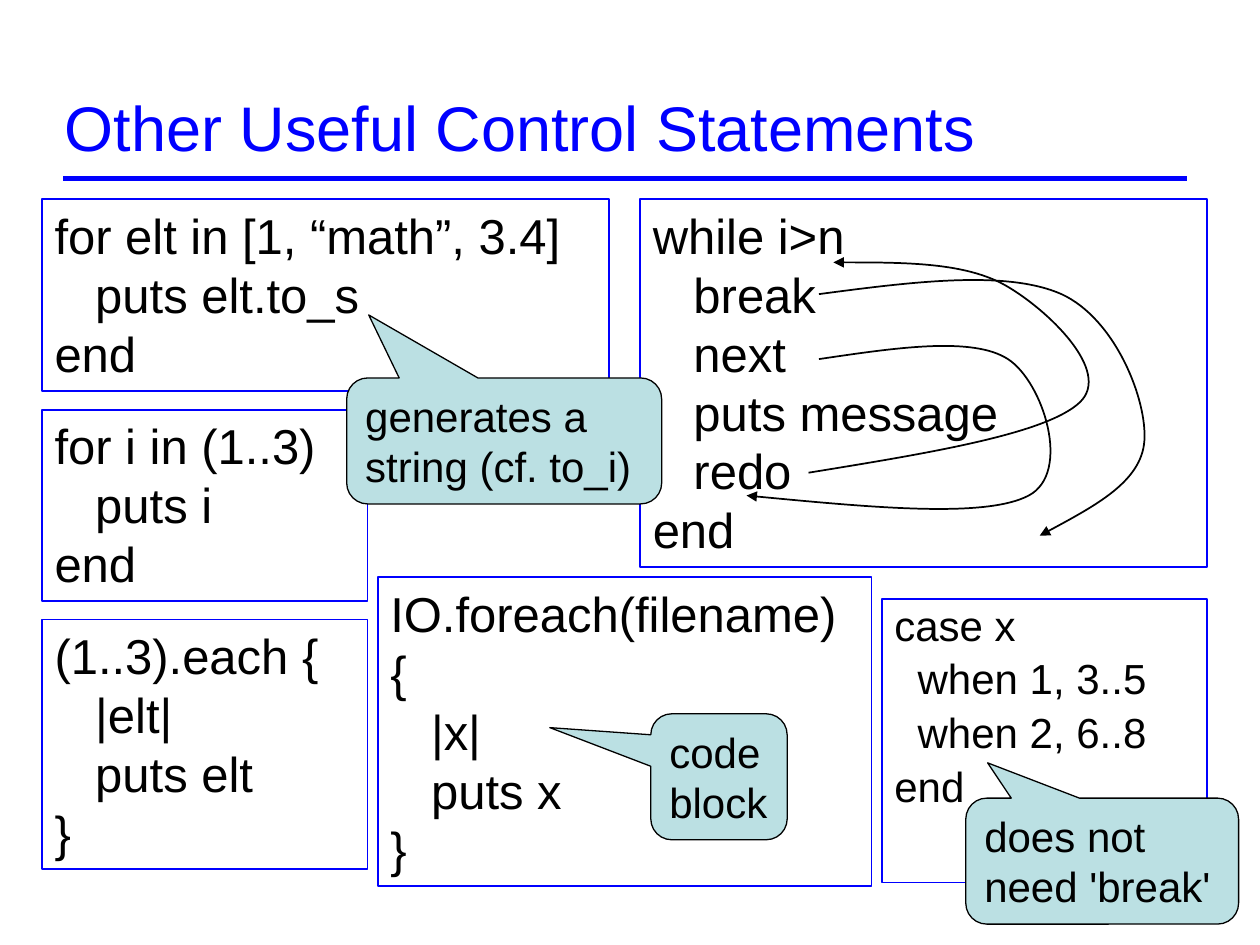
from lxml import etree
from pptx import Presentation
from pptx.dml.color import RGBColor
from pptx.enum.shapes import MSO_CONNECTOR, MSO_SHAPE as SHAPE
from pptx.enum.text import MSO_ANCHOR as ANCHOR, PP_ALIGN as ALIGN
from pptx.oxml.ns import qn
from pptx.util import Cm, Pt

BLUE, BLACK, TEAL = "0000FF", "000000", "BBE0E3"


def color(value):
    return RGBColor.from_string(value)


def write(sp, lines, size, ink=BLACK, anchor=ANCHOR.TOP, para=None):
    tf = sp.text_frame
    tf.word_wrap = True
    tf.vertical_anchor = anchor
    for i, line in enumerate(lines):
        p = tf.paragraphs[0] if i == 0 else tf.add_paragraph()
        for name, value in {"alignment": ALIGN.LEFT, **(para or {})}.items():
            if i or name != "space_before":
                setattr(p, name, value)
        r = p.add_run()
        r.text = line
        for name, value in {"name": "Arial", "size": Pt(size)}.items():
            setattr(r.font, name, value)
        r.font.color.rgb = color(ink)


prs = Presentation()
prs.slide_width, prs.slide_height = Cm(25.4), Cm(19.05)
s = prs.slides.add_slide(prs.slide_layouts[6])

# Title and rule
rule = s.shapes.add_connector(MSO_CONNECTOR.STRAIGHT, Cm(1.27), Cm(3.6), Cm(23.92), Cm(3.6))
rule.line.color.rgb = color(BLUE)
rule.line.width = Pt(3)
etree.SubElement(rule._element.spPr, qn("a:effectLst"))
title = s.shapes.add_textbox(Cm(1.06), Cm(1.48), Cm(21.59), Cm(2.12))
write(title, ["Other Useful Control Statements"], 36, BLUE, ANCHOR.MIDDLE)

# Code boxes: left, top, width, height, size, paragraph format, lines
tight = {"line_spacing": 0.9, "space_before": Pt(4.8)}
boxes = [
    (17.78, 12.07, 6.56, 5.72, 24, tight,
     ["case x", "  when 1, 3..5", "  when 2, 6..8", "end"]),
    (12.91, 4.02, 11.43, 7.41, 28, {},
     ["while i>n", "   break", "   next", "   puts message", "   redo", "end"]),
    (0.85, 8.26, 6.56, 3.86, 28, {}, ["for i in (1..3)", "   puts i", "end"]),
    (0.85, 4.02, 11.43, 3.86, 28, {},
     ["for elt in [1, “math”, 3.4]", "   puts elt.to_s", "end"]),
    (0.85, 12.49, 6.56, 5.03, 28, {}, ["(1..3).each {", "   |elt|", "   puts elt", "}"]),
    (7.62, 11.64, 9.95, 6.22, 28, {},
     ["IO.foreach(filename) {", "   |x|", "   puts x", "}"]),
]
for *place, size, para, lines in boxes:
    sp = s.shapes.add_shape(SHAPE.RECTANGLE, *map(Cm, place))
    sp.shadow.inherit = False
    sp.fill.background()
    sp.line.color.rgb = color(BLUE)
    sp.line.width = Pt(1)
    write(sp, lines, size, para=para)

# Jump arrows: start point, then Bezier segments of two controls and an end
jumps = [
    [(16.51, 5.93), (18.4, 5.68), (20.29, 5.44), (21.4, 5.93),
     (22.49, 6.43), (23.13, 8.07), (23.07, 8.89),
     (23.01, 9.71), (21.98, 10.25), (20.96, 10.8)],
    [(16.3, 9.53), (18.7, 9.14), (21.1, 8.75), (21.77, 8.11),
     (22.43, 7.48), (21.1, 6.23), (20.28, 5.76),
     (19.46, 5.29), (18.13, 5.29), (16.8, 5.29)],
    [(16.51, 7.24), (18.06, 7.01), (19.61, 6.78), (20.32, 7.24),
     (21.03, 7.7), (21.61, 9.53), (20.74, 9.99),
     (19.87, 10.45), (17.46, 10.22), (15.05, 9.99)],
]
for start, *points in jumps:
    builder = s.shapes.build_freeform(*map(Cm, start))
    builder.add_line_segments([tuple(map(Cm, pt)) for pt in points], close=False)
    sp = builder.convert_to_shape()
    # Every three straight segments become one cubic curve
    outline = next(sp._element.iter(qn("a:path")))
    segments = outline.findall(qn("a:lnTo"))
    for i in range(0, len(segments), 3):
        curve = etree.SubElement(outline, qn("a:cubicBezTo"))
        for segment in segments[i:i + 3]:
            curve.append(segment[0])
            outline.remove(segment)
    sp.shadow.inherit = False
    sp.fill.background()
    sp.line.color.rgb = color(BLACK)
    sp.line.width = Pt(1)
    etree.SubElement(sp.line._get_or_add_ln(), qn("a:tailEnd"), type="triangle")

# Callouts: left, top, width, height, pointer tip, text
callouts = [
    (6.99, 7.62, 6.35, 2.54, (-0.43, -1), "generates a string (cf. to_i)"),
    (13.12, 14.39, 2.75, 2.54, (-1.24, -0.39), "code block"),
    (19.47, 16.09, 5.5, 2.54, (-0.42, -0.78), "does not need 'break'"),
]
for *place, tip, text in callouts:
    sp = s.shapes.add_shape(SHAPE.ROUNDED_RECTANGULAR_CALLOUT, *map(Cm, place))
    sp.shadow.inherit = False
    sp.adjustments[0], sp.adjustments[1] = tip
    sp.fill.solid()
    sp.fill.fore_color.rgb = color(TEAL)
    sp.line.color.rgb = color(BLACK)
    sp.line.width = Pt(0.75)
    write(sp, [text], 24)

prs.save("out.pptx")
